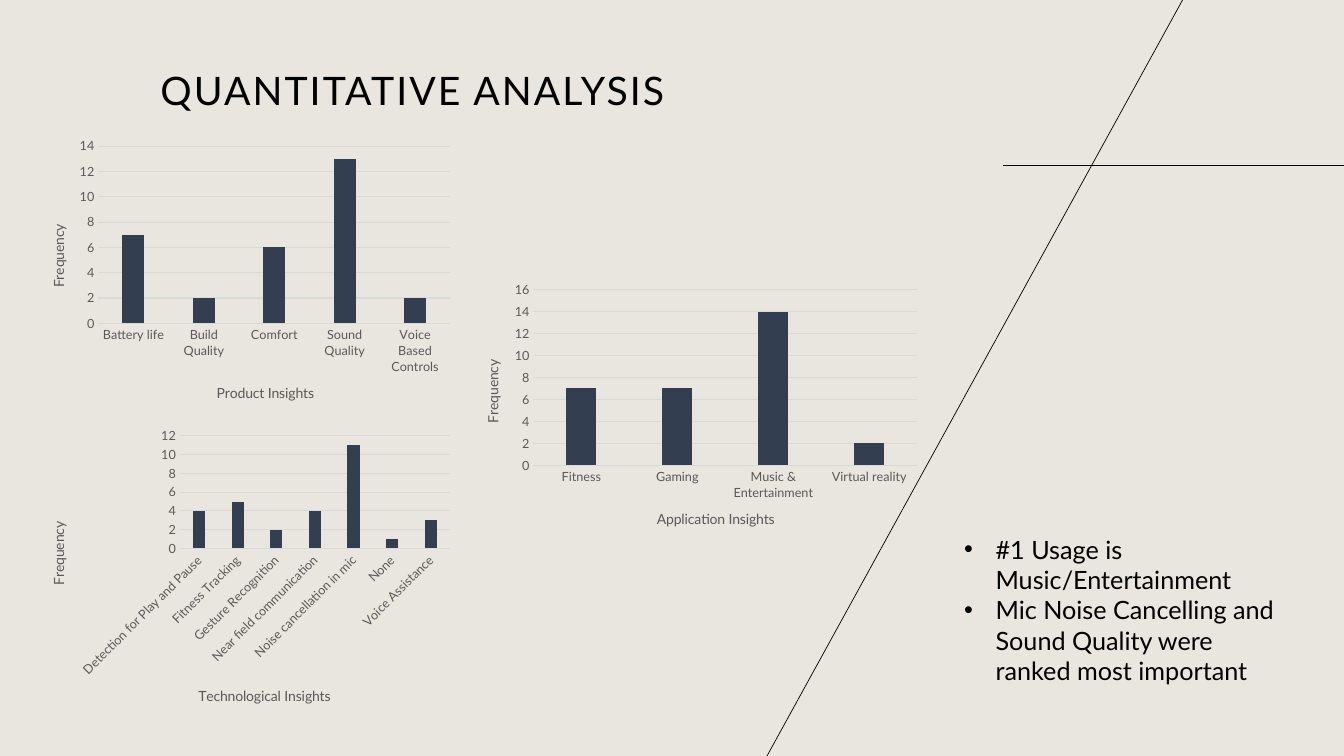
import lxml.etree
import pptx
import pptx.chart.data
import pptx.dml.color
import pptx.enum.chart
import pptx.enum.shapes
import pptx.enum.text
import pptx.oxml.ns
import pptx.util

qn = pptx.oxml.ns.qn
COLUMNS, ROWS = 16, 9


def rgb(value):
    return pptx.dml.color.RGBColor.from_string(value)


def write(p, text, size=18, color="000000", font="Lato", bold=False, spacing=None):
    r = p.add_run()
    r.text = text
    r.font.size = pptx.util.Pt(size)
    r.font.name = font
    r.font.bold = bold
    r.font.color.rgb = rgb(color)
    if spacing is not None:
        r._r.get_or_add_rPr().set("spc", str(round(spacing * 100)))


def place(parent, **shares):
    layout = parent.find(qn("c:layout"))
    if layout is None:
        layout = lxml.etree.Element(qn("c:layout"))
        parent.insert(0, layout)
    manual = lxml.etree.SubElement(layout, qn("c:manualLayout"))
    if "w" in shares:
        lxml.etree.SubElement(manual, qn("c:layoutTarget")).set("val", "inner")
    for key in ("x", "y"):
        lxml.etree.SubElement(manual, qn(f"c:{key}Mode")).set("val", "edge")
    for key, share in shares.items():
        lxml.etree.SubElement(manual, qn(f"c:{key}")).set("val", f"{share:.4f}")


class Deck:
    ink, label, grid, bar, paper = "000000", "595959", "D9D9D9", "333F50", "E9E6DF"

    def __init__(self):
        self.prs = pptx.Presentation()
        self.prs.slide_width = pptx.util.Pt(960)
        self.prs.slide_height = pptx.util.Pt(540)

    def x(self, columns):
        return round(self.prs.slide_width * columns / COLUMNS)

    def y(self, rows):
        return round(self.prs.slide_height * rows / ROWS)

    def box(self, left, top, width, height):
        return self.x(left), self.y(top), self.x(width), self.y(height)

    def slide(self):
        self.s = self.prs.slides.add_slide(self.prs.slide_layouts[5])
        fill = self.s.background.fill
        fill.solid()
        fill.fore_color.rgb = rgb(self.paper)

    def title(self, text, *area):
        sp = self.s.shapes.title
        sp.left, sp.top, sp.width, sp.height = self.box(*area)
        tf = sp.text_frame
        tf.word_wrap = True
        tf.vertical_anchor = pptx.enum.text.MSO_ANCHOR.BOTTOM
        p = tf.paragraphs[0]
        p.alignment = pptx.enum.text.PP_ALIGN.LEFT
        p.line_spacing = 0.9
        write(p, text, size=28, color=self.ink, spacing=1.5)

    def line(self, x1, y1, x2, y2):
        sp = self.s.shapes.add_connector(
            pptx.enum.shapes.MSO_CONNECTOR.STRAIGHT,
            self.x(x1), self.y(y1), self.x(x2), self.y(y2))
        sp.line.color.rgb = rgb(self.ink)
        sp.line.width = pptx.util.Pt(0.5)
        lxml.etree.SubElement(sp._element.spPr, qn("a:effectLst"))

    def bullets(self, items, *area):
        tf = self.s.shapes.add_textbox(*self.box(*area)).text_frame
        tf.word_wrap = True
        tf.auto_size = pptx.enum.text.MSO_AUTO_SIZE.SHAPE_TO_FIT_TEXT
        indent = pptx.util.Pt(22.5)
        for i, item in enumerate(items):
            p = tf.add_paragraph() if i else tf.paragraphs[0]
            pPr = p._p.get_or_add_pPr()
            pPr.set("marL", str(indent))
            pPr.set("indent", str(-indent))
            lxml.etree.SubElement(pPr, qn("a:buFont")).set("typeface", "Arial")
            lxml.etree.SubElement(pPr, qn("a:buChar")).set("char", "•")
            write(p, item, color=self.ink)

    def axis(self, axis, title, spot, rotation):
        axis.major_tick_mark = pptx.enum.chart.XL_TICK_MARK.NONE
        axis.minor_tick_mark = pptx.enum.chart.XL_TICK_MARK.NONE
        font = axis.tick_labels.font
        font.size, font.name = pptx.util.Pt(9), "Lato"
        font.color.rgb = rgb(self.label)
        tf = axis.axis_title.text_frame
        tf._txBody.bodyPr.set("rot", str(rotation * 60000))
        write(tf.paragraphs[0], title, size=10, color=self.label)
        place(axis.axis_title._element, x=spot[0], y=spot[1])

    def hairline(self, line):
        line.color.rgb = rgb(self.grid)
        line.width = pptx.util.Pt(0.75)

    def chart(self, name, values, top_value, area, plot, name_at, frequency_at, tilt=None):
        data = pptx.chart.data.CategoryChartData()
        data.categories = list(values)
        data.add_series("Series 1", list(values.values()))
        chart = self.s.shapes.add_chart(
            pptx.enum.chart.XL_CHART_TYPE.COLUMN_CLUSTERED, *self.box(*area), data).chart
        chart.has_title = chart.has_legend = False
        chart.font.size, chart.font.name = pptx.util.Pt(10), "Lato"
        chart.font.color.rgb = rgb(self.ink)

        bars = chart.plots[0]
        bars.gap_width, bars.overlap, bars.vary_by_categories = 219, -27, False
        fill = bars.series[0].format.fill
        fill.solid()
        fill.fore_color.rgb = rgb(self.bar)

        left, top, width, height = area

        def inside(spot):
            return (spot[0] - left) / width, (spot[1] - top) / height

        x, y = inside(plot)
        place(chart._chartSpace.chart.plotArea, x=x, y=y, w=plot[2] / width, h=plot[3] / height)
        cat, val = chart.category_axis, chart.value_axis
        self.axis(cat, name, inside(name_at), 0)
        self.axis(val, "Frequency", inside(frequency_at), -90)
        self.hairline(cat.format.line)
        self.hairline(val.major_gridlines.format.line)
        val.format.line.fill.background()
        val.minimum_scale, val.maximum_scale, val.major_unit = 0, top_value, 2
        if tilt:
            cat._element.find(qn("c:txPr")).find(qn("a:bodyPr")).set("rot", str(tilt * 60000))


def main():
    deck = Deck()
    deck.slide()
    deck.line(11.94, 1.97, 16, 1.97)
    deck.line(14.1, -0.04, 9.12, 9.02)
    deck.title("QUANTITATIVE ANALYSIS", 1.79, -0.16, 6.71, 1.58)
    deck.chart(
        "Technological Insights",
        {"Detection for Play and Pause": 4, "Fitness Tracking": 5, "Gesture Recognition": 2,
         "Near field communication": 4, "Noise cancellation in mic": 11, "None": 1,
         "Voice Assistance": 3},
        12, area=(0.34, 5.03, 5.12, 3.61), plot=(2.14, 5.19, 3.22, 1.34),
        name_at=(2.33, 8.14), frequency_at=(0.55, 6.18), tilt=-45)
    deck.chart(
        "Application Insights",
        {"Fitness": 7, "Gaming": 7, "Music & Entertainment": 14, "Virtual reality": 2},
        16, area=(5.5, 3.29, 5.52, 3.24), plot=(6.35, 3.45, 4.57, 2.09),
        name_at=(7.79, 6.03), frequency_at=(5.72, 4.25))
    deck.chart(
        "Product Insights",
        {"Battery life": 7, "Build Quality": 2, "Comfort": 6, "Sound Quality": 13,
         "Voice Based Controls": 2},
        14, area=(0.34, 1.57, 5.12, 3.44), plot=(1.17, 1.74, 4.19, 2.11),
        name_at=(2.55, 4.53), frequency_at=(0.55, 2.64))
    deck.bullets(
        ["#1 Usage is Music/Entertainment",
         "Mic Noise Cancelling and Sound Quality were ranked most important"],
        11.36, 6.3, 3.96, 1.94)
    deck.prs.save("out.pptx")


if __name__ == "__main__":
    main()
